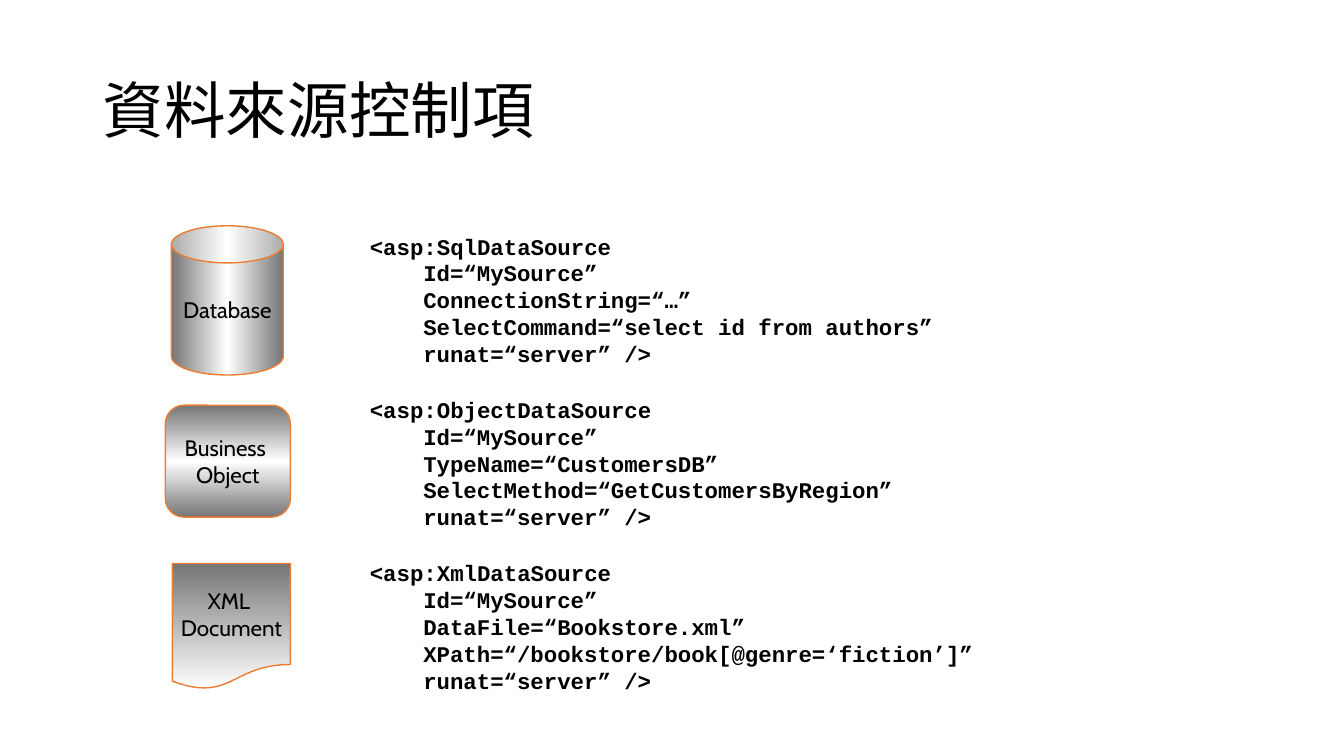
"""Build a slide pairing three data source controls with their markup."""
from lxml import etree
from pptx import Presentation
from pptx.dml.color import RGBColor
from pptx.enum.shapes import MSO_SHAPE as SHAPE
from pptx.enum.text import MSO_ANCHOR as ANCHOR, PP_ALIGN as ALIGN
from pptx.oxml.ns import qn
from pptx.util import Inches, Pt

BLACK = RGBColor(0x00, 0x00, 0x00)
GRAY = RGBColor(0x76, 0x76, 0x76)
WHITE = RGBColor(0xFF, 0xFF, 0xFF)
ORANGE = RGBColor(0xED, 0x7D, 0x31)

TITLE = {"name": "Calibri", "size": Pt(44)}
LABEL = {"name": "Cabin", "size": Pt(16)}
CODE = {"name": "Courier New", "size": Pt(16), "bold": True}


def write(p, text, font):
    p.text = text
    for r in p.runs:
        r.font.color.rgb = BLACK
        for key, value in font.items():
            setattr(r.font, key, value)


def shade(fill, colors, angle):
    fill.gradient()
    fill.gradient_angle = angle
    stops = fill._xPr.find(qn("a:gradFill")).find(qn("a:gsLst"))
    for stop in list(stops):
        stops.remove(stop)
    for i, color in enumerate(colors):
        pos = str(100000 * i // (len(colors) - 1))
        stop = etree.SubElement(stops, qn("a:gs"), pos=pos)
        etree.SubElement(stop, qn("a:srgbClr"), val=str(color))


prs = Presentation()
prs.slide_width, prs.slide_height = Inches(13.33), Inches(7.5)
s = prs.slides.add_slide(prs.slide_layouts[6])

tf = s.shapes.add_textbox(Inches(0.92), Inches(0.4), Inches(11.5), Inches(1.45)).text_frame
tf.word_wrap = True
tf.vertical_anchor = ANCHOR.MIDDLE
tf.paragraphs[0].line_spacing = 0.9
write(tf.paragraphs[0], "資料來源控制項", TITLE)

BAND = (GRAY, WHITE, GRAY)
sources = [
    (SHAPE.CAN, (1.7, 2.24, 1.11, 1.48), 0.332, BAND, 0, "Database",
     ["<asp:SqlDataSource", "Id=“MySource”", "ConnectionString=“…”",
      "SelectCommand=“select id from authors”", "runat=“server” />"]),
    (SHAPE.ROUNDED_RECTANGLE, (1.64, 4.02, 1.24, 1.11), 0.167, BAND, 270, "Business \vObject",
     ["<asp:ObjectDataSource", "Id=“MySource”", "TypeName=“CustomersDB”",
      "SelectMethod=“GetCustomersByRegion”", "runat=“server” />"]),
    (SHAPE.FLOWCHART_DOCUMENT, (1.71, 5.59, 1.17, 1.25), None, (GRAY, WHITE), 270, "XML \nDocument",
     ["<asp:XmlDataSource", "Id=“MySource”", "DataFile=“Bookstore.xml”",
      "XPath=“/bookstore/book[@genre=‘fiction’]”", "runat=“server” />"]),
]

for row, (kind, box, adjust, colors, angle, label, code) in enumerate(sources):
    sp = s.shapes.add_shape(kind, *map(Inches, box))
    sp.shadow.inherit = False
    if adjust is not None:
        sp.adjustments[0] = adjust
    shade(sp.fill, colors, angle)
    sp.line.color.rgb = ORANGE
    sp.line.width = Pt(1)
    tf = sp.text_frame
    tf.word_wrap = False
    tf.vertical_anchor = ANCHOR.MIDDLE
    for i, line in enumerate(label.split("\n")):
        p = tf.add_paragraph() if i else tf.paragraphs[0]
        p.alignment = ALIGN.CENTER
        write(p, line, LABEL)

    top = Inches(2.26 + 1.62 * row)
    tf = s.shapes.add_textbox(Inches(3.57), top, Inches(6.36), Inches(1.44)).text_frame
    tf.word_wrap = True
    p = tf.paragraphs[0]
    write(p, "\v".join(code), CODE)
    pPr = p._p.get_or_add_pPr()
    pPr.set("marL", str(Inches(0.53)))
    pPr.set("indent", str(-Inches(0.53)))

prs.save("out.pptx")
